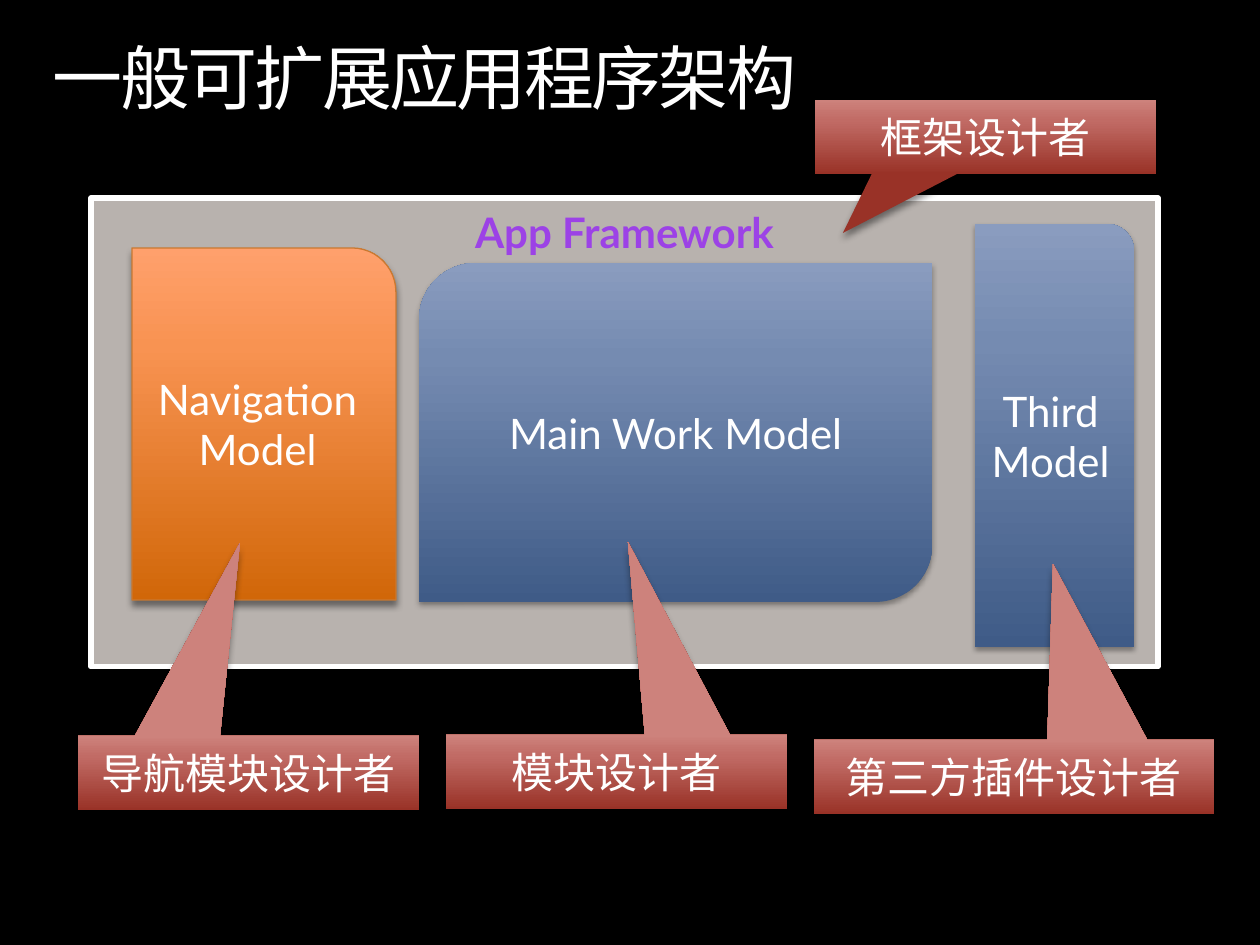
from lxml import etree
from pptx import Presentation
from pptx.dml.color import RGBColor
from pptx.enum.shapes import MSO_SHAPE
from pptx.enum.text import MSO_ANCHOR, PP_ALIGN
from pptx.oxml.ns import qn
from pptx.util import Pt

RECT, ROUND = MSO_SHAPE.RECTANGLE, MSO_SHAPE.ROUND_1_RECTANGLE
DIAG, CALL = MSO_SHAPE.ROUND_2_DIAG_RECTANGLE, MSO_SHAPE.RECTANGULAR_CALLOUT
TOP, MID = MSO_ANCHOR.TOP, MSO_ANCHOR.MIDDLE
LEFT, MIDDLE = PP_ALIGN.LEFT, PP_ALIGN.CENTER

FONT = "Lato"
WHITE = "FFFFFF"
ORANGE = ["D16709", "F89352", "FFA06C"]
BLUE = ["3F5B87", "758BB1", "8A9CBF"]
RED = ["993227", "C16B65", "CD827C"]
STOPS = [0, 72, 100]
DEEP = (43, 4, 3)  # shadow opacity, blur, distance
SOFT = (35, 3.1, 1.8)


def px(n):
    return round(n * 914400 / 126)


def rgb(code):
    return RGBColor.from_string(code)


def place(shape, box):
    shape.left, shape.top, shape.width, shape.height = map(px, box)


def style(para, size, color, bold=False):
    for run in para.runs:
        font = run.font
        font.name, font.size, font.bold = FONT, Pt(size), bold
        font.color.rgb = rgb(color)


def ramp(fill, colors):
    """Fill with a gradient running from the bottom up."""
    fill.gradient()
    fill.gradient_angle = 90
    stops = fill._fill._gradFill.find(qn("a:gsLst"))
    for stop in list(stops):
        stops.remove(stop)
    for pos, color in zip(STOPS, colors):
        stop = etree.SubElement(stops, qn("a:gs"), pos=str(pos * 1000))
        etree.SubElement(stop, qn("a:srgbClr"), val=color)


def shade(shape, alpha, blur, dist):
    """Drop a black shadow straight down."""
    shape.shadow.inherit = False
    effects = shape._element.spPr.find(qn("a:effectLst"))
    drop = etree.SubElement(
        effects, qn("a:outerShdw"), blurRad=str(Pt(blur)),
        dist=str(Pt(dist)), dir="5400000", rotWithShape="0")
    black = etree.SubElement(drop, qn("a:srgbClr"), val="000000")
    etree.SubElement(black, qn("a:alpha"), val=str(alpha * 1000))


def block(slide, kind, box, text, fill, line=None, shadow=DEEP,
          color=WHITE, bold=False):
    shape = slide.shapes.add_shape(kind, *map(px, box))
    if isinstance(fill, str):
        shape.fill.solid()
        shape.fill.fore_color.rgb = rgb(fill)
    else:
        ramp(shape.fill, fill)
    if line:
        shape.line.color.rgb = rgb(line[0])
        shape.line.width = Pt(line[1])
    else:
        shape.line.fill.background()
    shade(shape, *shadow)
    frame = shape.text_frame
    frame.word_wrap = True
    frame.vertical_anchor = MID
    frame.text = text
    para = frame.paragraphs[0]
    para.alignment = MIDDLE
    style(para, 24, color, bold)
    return shape


def heading(slide, box, text):
    title = slide.shapes.title
    place(title, box)
    frame = title.text_frame
    frame.margin_left = frame.margin_right = 0
    frame.margin_top = frame.margin_bottom = 0
    frame.vertical_anchor = TOP
    frame.word_wrap = True
    frame.text = text
    para = frame.paragraphs[0]
    para.alignment, para.line_spacing = LEFT, 0.9
    style(para, 40, WHITE)
    para.runs[0].font._element.set("spc", "-150")


def panel(slide, box):
    """Framework panel with its three models."""
    left, top = box[:2]
    frame = block(slide, RECT, box, "App Framework", "B8B2AE",
                  (WHITE, 3), color="9C42E6", bold=True).text_frame
    frame.vertical_anchor = TOP
    frame.margin_top = px(9)
    models = [
        (ROUND, (41, 50, 264, 352), "Navigation Model", ORANGE,
         ("CA7931", 0.75), DEEP),
        (DIAG, (328, 65, 513, 339), "Main Work Model", BLUE, None, SOFT),
        (ROUND, (884, 26, 159, 423), "Third Model", BLUE, None, SOFT),
    ]
    for kind, (x, y, w, h), *look in models:
        block(slide, kind, (left + x, top + y, w, h), *look)


def callout(slide, box, text, tip):
    """Red callout whose wedge ends at the tip point."""
    x, y, w, h = box
    shape = block(slide, CALL, box, text, RED)
    shape.adjustments[0] = (tip[0] - x) / w - 0.5
    shape.adjustments[1] = (tip[1] - y) / h - 0.5


def main():
    deck = Presentation()
    deck.slide_width, deck.slide_height = px(1260), px(945)
    slide = deck.slides.add_slide(deck.slide_layouts[5])
    back = slide.background.fill
    back.solid()
    back.fore_color.rgb = rgb("000000")

    heading(slide, (53, 44, 1155, 77), "一般可扩展应用程序架构")
    panel(slide, (91, 198, 1067, 469))

    # Designers of each part
    callout(slide, (815, 100, 341, 74), "框架设计者", (843, 233))
    callout(slide, (814, 740, 400, 74), "第三方插件设计者", (1053, 564))
    callout(slide, (446, 735, 341, 74), "模块设计者", (628, 542))
    callout(slide, (78, 736, 341, 74), "导航模块设计者", (240, 543))
    deck.save("out.pptx")


if __name__ == "__main__":
    main()
